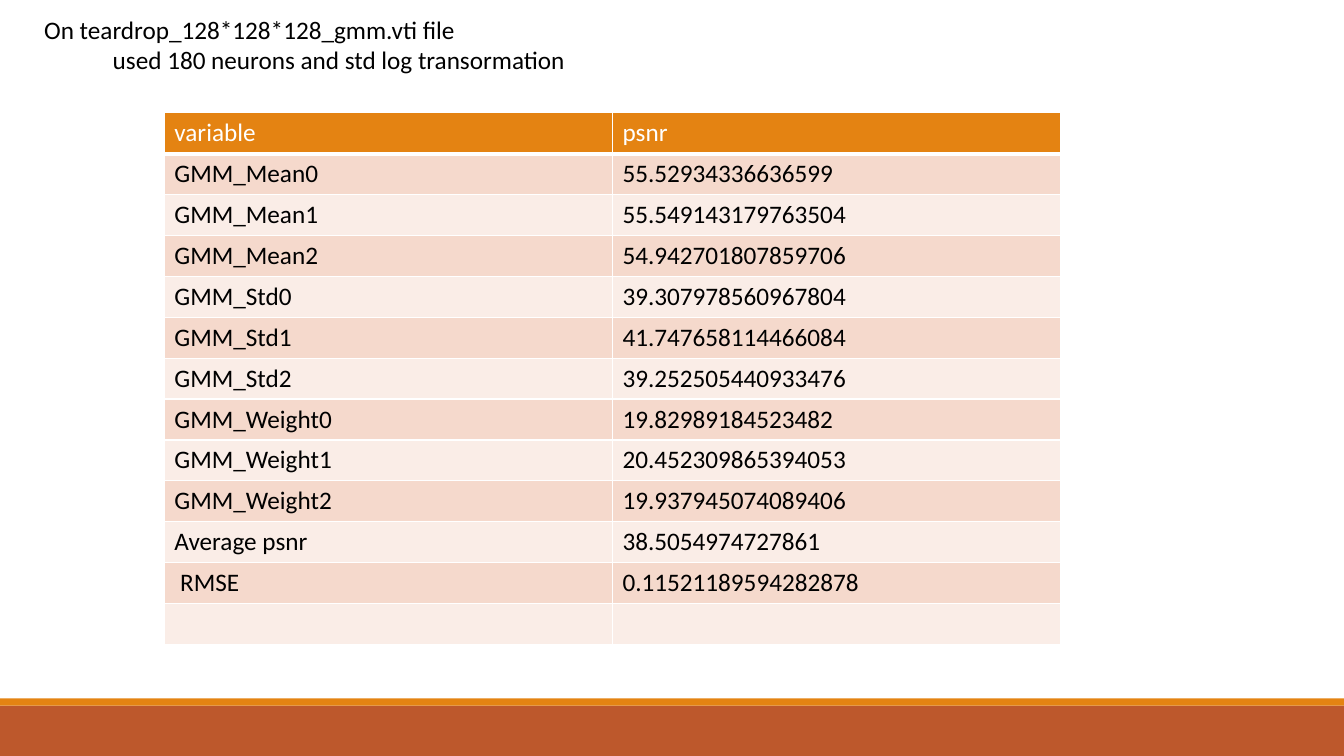
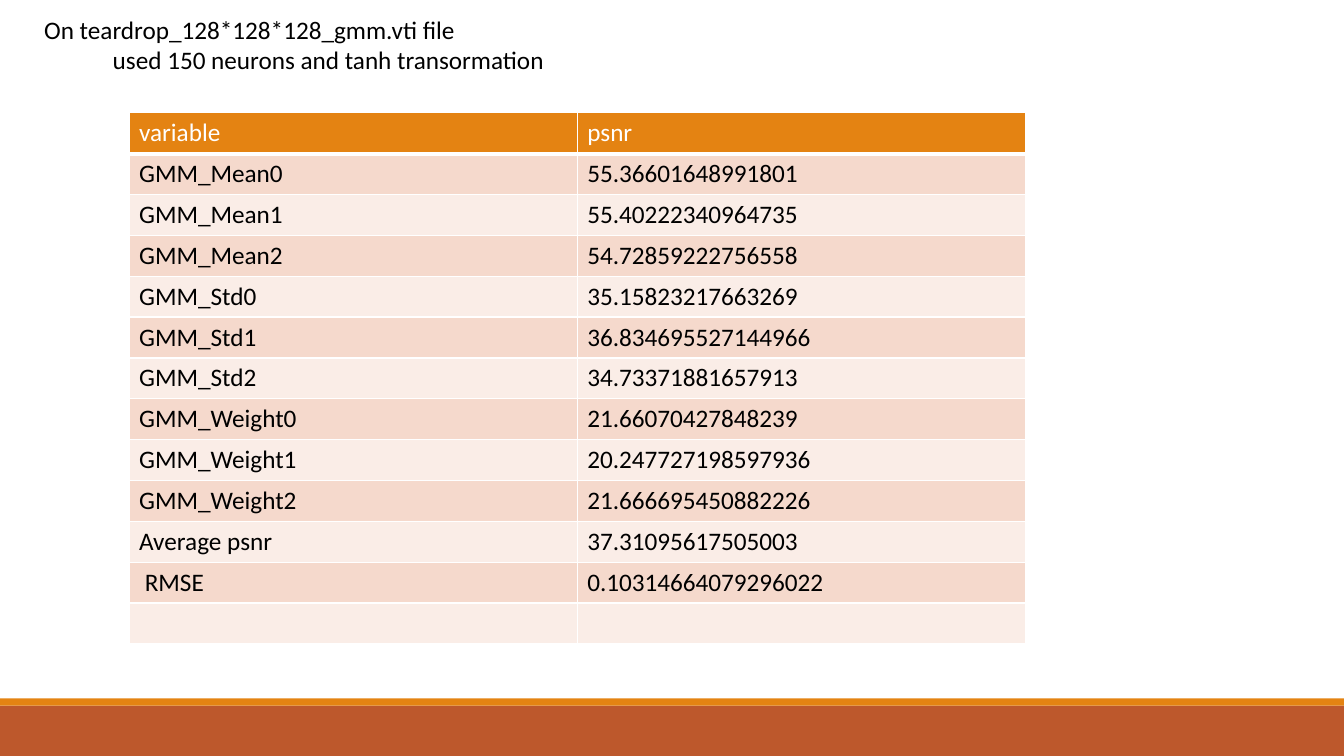
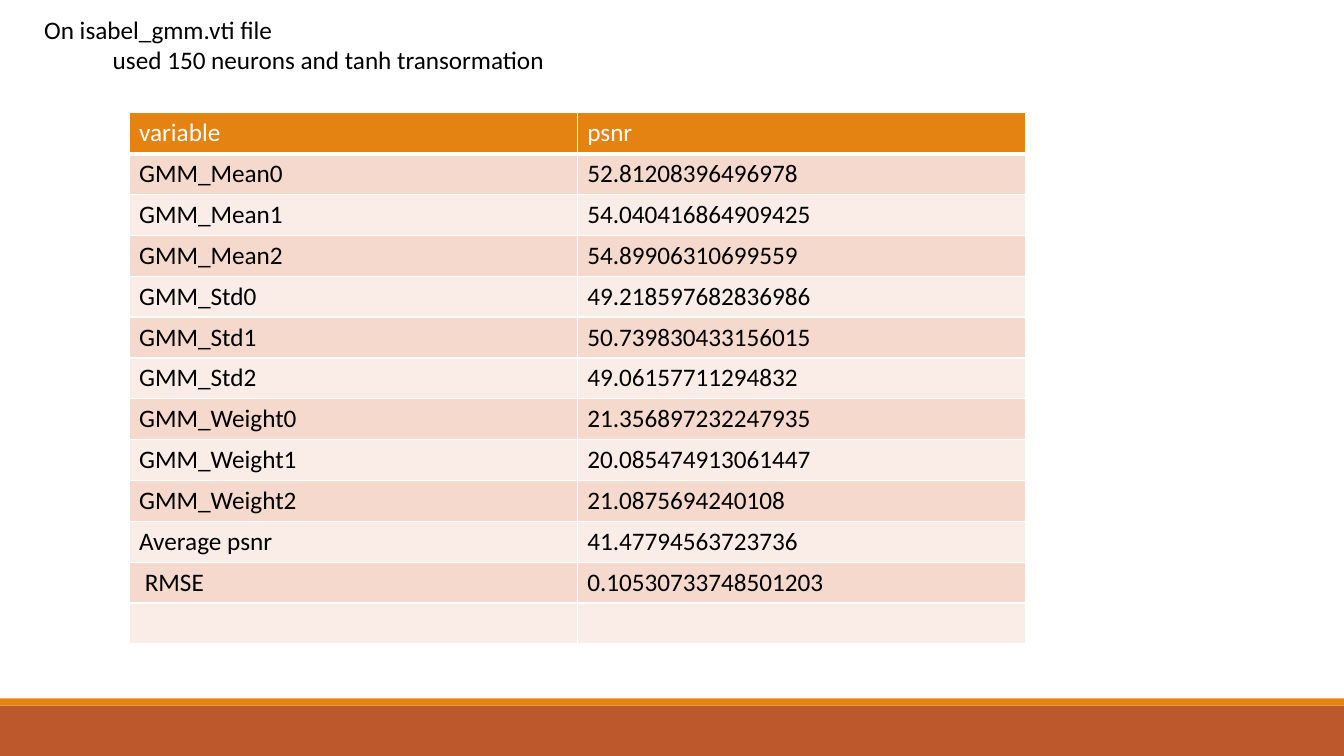
from dataclasses import dataclass

from lxml import etree
from pptx import Presentation
from pptx.dml.color import RGBColor
from pptx.enum.shapes import MSO_SHAPE
from pptx.oxml.ns import qn
from pptx.util import Pt

RECT = MSO_SHAPE.RECTANGLE
UNIT = 9144  # EMU in one px, 100 px to the inch
WIDE, HIGH = 1333, 750


@dataclass(frozen=True)
class Theme:
    font: str = "Calibri"
    size: int = 18
    ink: str = "000000"
    white: str = "FFFFFF"
    gold: str = "E48312"
    rust: str = "BD582C"
    dark: str = "F5D9CC"
    pale: str = "FAEDE7"
    thin: int = 1
    thick: int = 3


THEME = Theme()
FORMAT = {"name": THEME.font, "size": Pt(THEME.size), "bold": False}

NAMES = [f"GMM_{kind}{i}" for kind in ("Mean", "Std", "Weight")
         for i in range(3)] + ["Average psnr", " RMSE"]

TEAR = "On teardrop_128*128*128_gmm.vti file"
TANH = "used 150 neurons and tanh transormation"

# Heading lines, left edge of the table, psnr values
SLIDES = [
    (TEAR, "used 180 neurons and std log transormation", 163, [
        "55.52934336636599", "55.549143179763504", "54.942701807859706",
        "39.307978560967804", "41.747658114466084", "39.252505440933476",
        "19.82989184523482", "20.452309865394053", "19.937945074089406",
        "38.5054974727861", "0.11521189594282878"]),
    (TEAR, TANH, 128, [
        "55.36601648991801", "55.40222340964735", "54.72859222756558",
        "35.15823217663269", "36.834695527144966", "34.73371881657913",
        "21.66070427848239", "20.247727198597936", "21.666695450882226",
        "37.31095617505003", "0.10314664079296022"]),
    ("On isabel_gmm.vti file", TANH, 128, [
        "52.81208396496978", "54.040416864909425", "54.89906310699559",
        "49.218597682836986", "50.739830433156015", "49.06157711294832",
        "21.356897232247935", "20.085474913061447", "21.0875694240108",
        "41.47794563723736", "0.10530733748501203"]),
]


def px(*vals):
    return [val * UNIT for val in vals]


def paint(fill, tint):
    fill.solid()
    fill.fore_color.rgb = RGBColor.from_string(tint)


def write(para, text, tint):
    run = para.add_run()
    run.text = text
    for name, val in FORMAT.items():
        setattr(run.font, name, val)
    run.font.color.rgb = RGBColor.from_string(tint)


def edge(cell, base):
    """Draw white borders, with the given weight below."""
    props = cell._tc.get_or_add_tcPr()
    for i, side in enumerate("LRTB"):
        weight = base if side == "B" else THEME.thin
        line = etree.Element(qn(f"a:ln{side}"), w=str(Pt(weight)))
        solid = etree.SubElement(line, qn("a:solidFill"))
        etree.SubElement(solid, qn("a:srgbClr"), val=THEME.white)
        props.insert(i, line)


def bands(slide, box):
    """Footer: a thin gold strip on top of a rust band."""
    left, top, wide, high = box
    strip = 7
    for y, tall, tint in ((top + strip, high - strip, THEME.rust),
                          (top, strip, THEME.gold)):
        band = slide.shapes.add_shape(RECT, *px(left, y, wide, tall))
        band.shadow.inherit = False
        paint(band.fill, tint)
        band.line.fill.background()


def heading(slide, box, lines):
    """Two lines of text, the second one indented."""
    frame = slide.shapes.add_textbox(*px(*box)).text_frame
    frame.word_wrap = True
    first, second = frame.paragraphs[0], frame.add_paragraph()
    for para, text in zip((first, second), lines):
        write(para, text, THEME.ink)
    second._p.get_or_add_pPr().set("marL", str(68 * UNIT))


def grid(slide, box, rows):
    """Table with a gold head row and banded body rows."""
    count, cols = len(rows), len(rows[0])
    table = slide.shapes.add_table(count, cols, *px(*box)).table
    table.horz_banding = False
    for r, row in enumerate(rows):
        tint = THEME.gold if r == 0 else THEME.dark if r % 2 else THEME.pale
        ink = THEME.ink if r else THEME.white
        for c, text in enumerate(row):
            cell = table.cell(r, c)
            paint(cell.fill, tint)
            edge(cell, THEME.thin if r else THEME.thick)
            if text:
                write(cell.text_frame.paragraphs[0], text, ink)


def result(deck, title, note, left, vals):
    """One slide of results."""
    slide = deck.slides.add_slide(deck.slide_layouts[6])
    bands(slide, (0, 693, WIDE, HIGH - 693))
    rows = [("variable", "psnr"), *zip(NAMES, vals), ("", "")]
    grid(slide, (left, 112, 889, 527), rows)
    heading(slide, (34, 9, 697, 71), (title, note))


def main():
    deck = Presentation()
    deck.slide_width, deck.slide_height = px(WIDE, HIGH)
    for item in SLIDES:
        result(deck, *item)
    deck.save("out.pptx")


if __name__ == "__main__":
    main()
